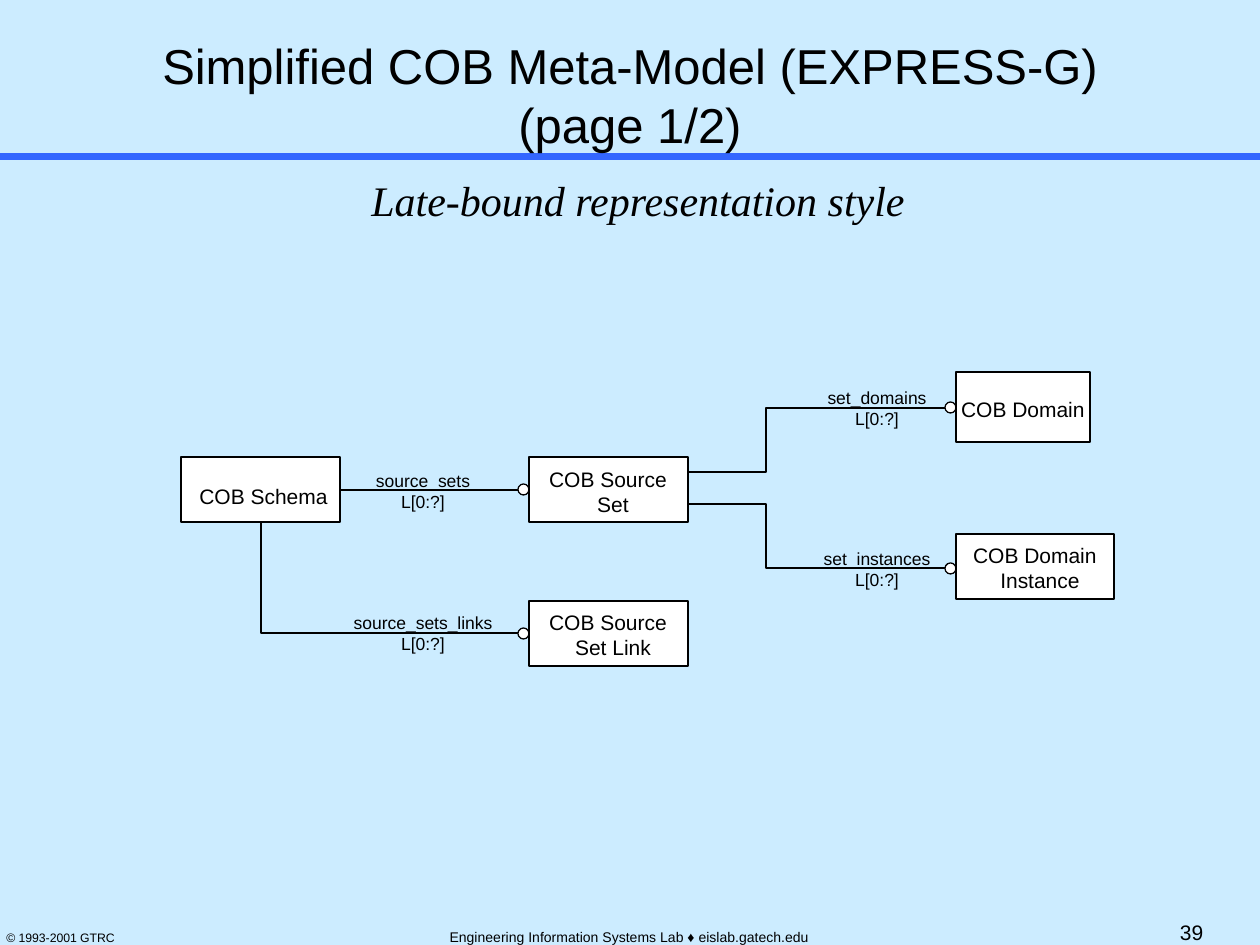
"""Build the simplified COB meta-model slide, an EXPRESS-G entity diagram."""
from dataclasses import dataclass

import lxml.etree
import pptx
import pptx.dml.color
import pptx.enum.shapes
import pptx.enum.text
import pptx.oxml.ns
import pptx.util

EMU_PER_PX = 914400 / 126
COLORS = {"sky": "CCECFF", "rule": "3366FF", "ink": "000000", "paper": "FFFFFF"}
ALIGN = pptx.enum.text.PP_ALIGN
ANCHOR = pptx.enum.text.MSO_ANCHOR
FIT = pptx.enum.text.MSO_AUTO_SIZE
SHAPES = pptx.enum.shapes.MSO_SHAPE
ENTITY_LINE, RELATION_LINE = 25, 21
CIRCLE = 11


@dataclass(frozen=True)
class Text:
    lines: tuple[str, ...]
    x: int
    y: int
    w: int
    h: int
    size: int
    align: ALIGN = ALIGN.CENTER
    inset_x: int = 0
    inset_y: int = 0
    font: str = "Arial"
    italic: bool = False
    wrap: bool = False
    anchor: ANCHOR = ANCHOR.TOP


@dataclass(frozen=True)
class Name:
    text: str
    x: int
    w: int


@dataclass(frozen=True)
class Entity:
    x: int
    y: int
    w: int
    h: int
    names_y: int
    names: tuple[Name, ...]


@dataclass(frozen=True)
class Relation:
    name: str
    center: int
    y: int
    w: int
    route: tuple[tuple[int, int], ...]
    circle: tuple[int, int]


TEXTS = (
    Text(("39",), 1174, 920, 108, 25, 12, ALIGN.LEFT, 6, wrap=True),
    Text(("Engineering Information Systems Lab ♦ eislab.gatech.edu",), 443, 929, 373, 16, 8, inset_x=6),
    Text(("© 1993-2001 GTRC",), 0, 930, 121, 15, 7, inset_x=6),
    Text(("Simplified COB Meta-Model (EXPRESS-G)", "(page 1/2)"), 0, 0, 1260, 153, 28,
         inset_x=6, wrap=True, anchor=ANCHOR.BOTTOM),
    Text(("Late-bound representation style",), 357, 169, 562, 63, 24,
         inset_x=13, inset_y=6, font="Times New Roman", italic=True),
)

ENTITIES = (
    Entity(181, 457, 159, 65, 484, (Name("COB Schema", 198, 131),)),
    Entity(529, 457, 159, 65, 467, (Name("COB Source", 548, 120), Name("Set", 595, 36))),
    Entity(529, 601, 159, 65, 610, (Name("COB Source", 548, 120), Name("Set Link", 573, 80))),
    Entity(956, 372, 134, 70, 397, (Name("COB Domain", 960, 126),)),
    Entity(956, 534, 158, 65, 543, (Name("COB Domain", 972, 126), Name("Instance", 998, 84))),
)

RELATIONS = (
    Relation("set_domains", 877, 387, 102, ((989, 408), (766, 408), (766, 472), (678, 472)), (945, 402)),
    Relation("set_instances", 877, 548, 110, ((989, 568), (766, 568), (766, 504), (678, 504)), (945, 563)),
    Relation("source_sets", 423, 470, 98, ((340, 490), (529, 490)), (518, 484)),
    Relation("source_sets_links", 423, 612, 142, ((261, 522), (261, 633), (529, 633)), (518, 628)),
)


def px(length: float) -> int:
    return round(length * EMU_PER_PX)


def color(key: str) -> pptx.dml.color.RGBColor:
    return pptx.dml.color.RGBColor.from_string(COLORS[key])


def draw_text(slide, text: Text) -> None:
    frame = slide.shapes.add_textbox(px(text.x), px(text.y), px(text.w), px(text.h)).text_frame
    frame.word_wrap = text.wrap
    frame.auto_size = FIT.NONE if text.wrap else FIT.SHAPE_TO_FIT_TEXT
    frame.vertical_anchor = text.anchor
    frame.margin_left = frame.margin_right = px(text.inset_x)
    frame.margin_top = frame.margin_bottom = px(text.inset_y)
    paragraph = frame.paragraphs[0]
    paragraph.alignment = text.align
    for index, line in enumerate(text.lines):
        if index:
            paragraph.add_line_break()
        run = paragraph.add_run()
        run.text = line
        run.font.name = text.font
        run.font.size = pptx.util.Pt(text.size)
        run.font.italic = text.italic
        run.font.color.rgb = color("ink")


def outline(line, key: str = "ink", points: float = 0.75) -> None:
    line.color.rgb = color(key)
    line.width = pptx.util.Pt(points)


def draw_shape(slide, preset: SHAPES, x: int, y: int, w: int, h: int) -> None:
    shape = slide.shapes.add_shape(preset, px(x), px(y), px(w), px(h))
    shape.shadow.inherit = False
    shape.fill.solid()
    shape.fill.fore_color.rgb = color("paper")
    outline(shape.line)


def draw_line(slide, start: tuple[int, int], end: tuple[int, int], key: str = "ink", points: float = 0.75) -> None:
    connector = slide.shapes.add_connector(
        pptx.enum.shapes.MSO_CONNECTOR.STRAIGHT, *map(px, start + end))
    outline(connector.line, key, points)
    lxml.etree.SubElement(connector._element.spPr, pptx.oxml.ns.qn("a:effectLst"))


def draw_route(slide, route: tuple[tuple[int, int], ...]) -> None:
    if len(route) == 2:
        draw_line(slide, *route)
        return
    builder = slide.shapes.build_freeform(*route[0], scale=EMU_PER_PX)
    builder.add_line_segments(route[1:], close=False)
    wire = builder.convert_to_shape()
    wire.shadow.inherit = False
    wire.fill.background()
    outline(wire.line)


def draw_entity(slide, entity: Entity) -> None:
    draw_shape(slide, SHAPES.RECTANGLE, entity.x, entity.y, entity.w, entity.h)
    for row, name in enumerate(entity.names):
        draw_text(slide, Text((name.text,), name.x, entity.names_y + row * ENTITY_LINE,
                              name.w, ENTITY_LINE, 12))


def draw_relation_end(slide, relation: Relation) -> None:
    for row, (label, width) in enumerate(((relation.name, relation.w), ("L[0:?]", 46))):
        draw_text(slide, Text((label,), relation.center - width // 2,
                              relation.y + row * RELATION_LINE, width, RELATION_LINE, 10))
    draw_shape(slide, SHAPES.OVAL, *relation.circle, CIRCLE, CIRCLE)


def main() -> None:
    deck = pptx.Presentation()
    deck.slide_width, deck.slide_height = px(1260), px(945)
    slide = deck.slides.add_slide(deck.slide_layouts[6])
    slide.background.fill.solid()
    slide.background.fill.fore_color.rgb = color("sky")
    draw_line(slide, (0, 157), (1260, 157), "rule", 4)
    for text in TEXTS:
        draw_text(slide, text)
    for relation in RELATIONS:
        draw_route(slide, relation.route)
    for entity in ENTITIES:
        draw_entity(slide, entity)
    for relation in RELATIONS:
        draw_relation_end(slide, relation)
    deck.save("out.pptx")


if __name__ == "__main__":
    main()
